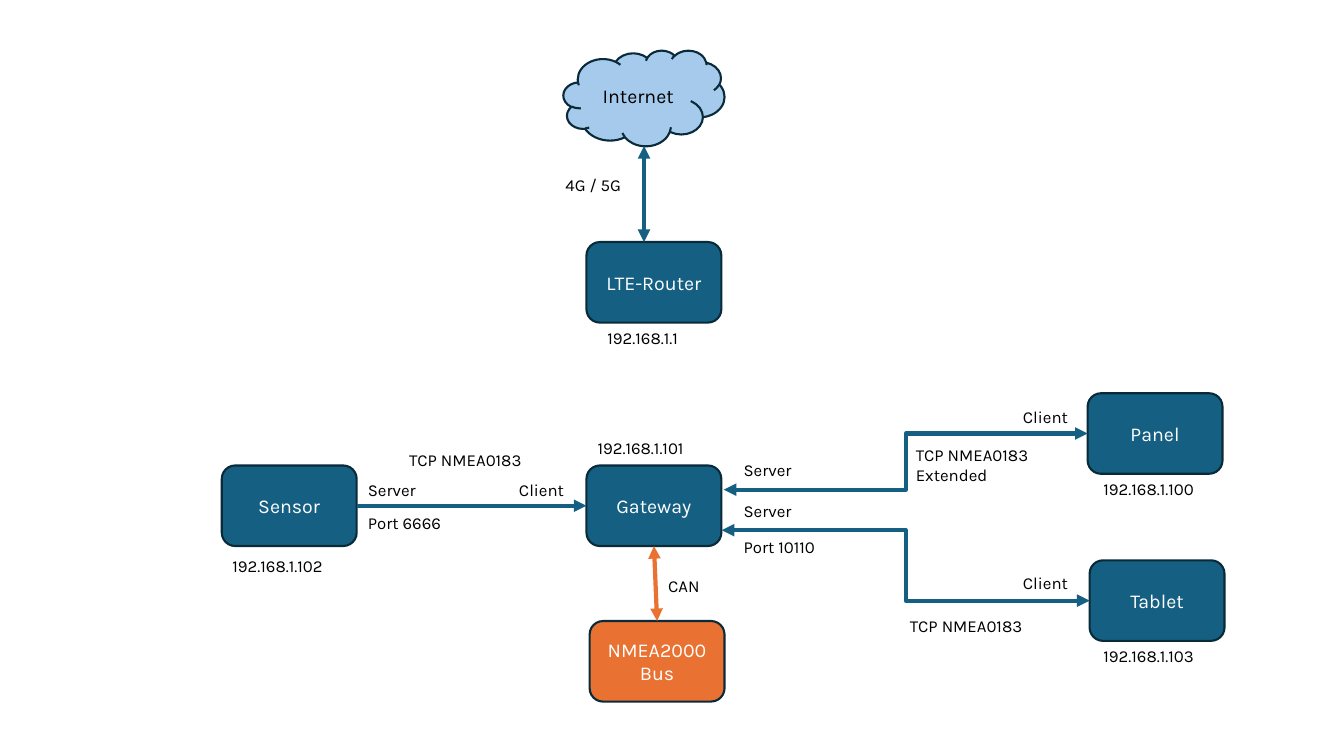
from dataclasses import dataclass

from lxml import etree
from pptx import Presentation
from pptx.dml.color import RGBColor
from pptx.enum.shapes import MSO_CONNECTOR, MSO_SHAPE
from pptx.enum.text import MSO_ANCHOR, MSO_AUTO_SIZE, PP_ALIGN
from pptx.oxml.ns import qn
from pptx.util import Cm, Pt

ROUNDED = MSO_SHAPE.ROUNDED_RECTANGLE
CLOUD = MSO_SHAPE.CLOUD
STRAIGHT = MSO_CONNECTOR.STRAIGHT
ELBOW = MSO_CONNECTOR.ELBOW
CENTER = PP_ALIGN.CENTER
MIDDLE = MSO_ANCHOR.MIDDLE
FIT_SHAPE = MSO_AUTO_SIZE.SHAPE_TO_FIT_TEXT
TOP, LEFT, BOTTOM, RIGHT = range(4)


@dataclass(frozen=True)
class Theme:
    """Colours, font and sizes of the network diagram."""

    device: RGBColor = RGBColor(0x15, 0x60, 0x82)
    bus: RGBColor = RGBColor(0xE9, 0x71, 0x32)
    cloud: RGBColor = RGBColor(0xA6, 0xCA, 0xEC)
    outline: RGBColor = RGBColor(0x09, 0x2A, 0x39)
    dark: RGBColor = RGBColor(0, 0, 0)
    light: RGBColor = RGBColor(0xFF, 0xFF, 0xFF)
    font: str = "Karla"
    node_size: Pt = Pt(14)
    label_size: Pt = Pt(12)
    outline_width: Pt = Pt(1.5)
    link_width: Pt = Pt(3)


THEME = Theme()


def add_span(para, text, size, color):
    """Add one formatted run to a paragraph."""
    span = para.add_run()
    span.text = text
    span.font.name = THEME.font
    span.font.size = size
    span.font.color.rgb = color


def add_node(page, text, left, top, fill=THEME.device, color=THEME.light,
             preset=ROUNDED, width=3.4, height=2.03):
    """Draw a filled network node with a centred name."""
    node = page.shapes.add_shape(preset, Cm(left), Cm(top), Cm(width), Cm(height))
    node.shadow.inherit = False
    node.fill.solid()
    node.fill.fore_color.rgb = fill
    node.line.color.rgb = THEME.outline
    node.line.width = THEME.outline_width
    node.text_frame.word_wrap = True
    node.text_frame.vertical_anchor = MIDDLE
    para = node.text_frame.paragraphs[0]
    para.alignment = CENTER
    add_span(para, text, THEME.node_size, color)
    return node


def add_label(page, lines, left, top, width=3.4):
    """Place a small caption with one paragraph per line."""
    box = page.shapes.add_textbox(Cm(left), Cm(top), Cm(width), Cm(0.26 + 0.51 * len(lines)))
    frame = box.text_frame
    frame.word_wrap = True
    frame.auto_size = FIT_SHAPE
    for index, line in enumerate(lines):
        para = frame.add_paragraph() if index else frame.paragraphs[0]
        add_span(para, line, THEME.label_size, THEME.dark)


def add_link(page, start, end, kind=STRAIGHT, color=THEME.device, two_way=True):
    """Join two ends, each a (node, side) pair or a point in centimetres."""
    link = page.shapes.add_connector(kind, 0, 0, 0, 0)
    if isinstance(start[0], float):
        link.begin_x, link.begin_y = Cm(start[0]), Cm(start[1])
    else:
        link.begin_connect(*start)
    if isinstance(end[0], float):
        link.end_x, link.end_y = Cm(end[0]), Cm(end[1])
    else:
        link.end_connect(*end)
    link.line.color.rgb = color
    link.line.width = THEME.link_width
    line = link.line._get_or_add_ln()
    for tag in ("a:headEnd", "a:tailEnd") if two_way else ("a:tailEnd",):
        etree.SubElement(line, qn(tag)).set("type", "triangle")
    etree.SubElement(link._element.spPr, qn("a:effectLst"))


def add_network(page):
    """Draw the devices and the links between them."""
    add_node(page, "LTE-Router", 14.78, 6.1)
    sensor = add_node(page, "Sensor", 5.59, 11.73)
    gateway = add_node(page, "Gateway", 14.78, 11.73)
    display = add_node(page, "Panel", 27.41, 9.91)
    tablet = add_node(page, "Tablet", 27.46, 14.12)
    bus = add_node(page, "NMEA2000 Bus", 14.86, 15.65, fill=THEME.bus)
    add_node(page, "Internet", 14.2, 1.27, THEME.cloud, THEME.dark, CLOUD, 4.06, 2.41)

    add_link(page, (18.19, 13.36), (tablet, LEFT), ELBOW)
    add_link(page, (18.24, 12.34), (display, LEFT), ELBOW)
    add_link(page, (sensor, RIGHT), (gateway, LEFT), two_way=False)
    add_link(page, (16.23, 3.68), (16.23, 6.1))
    add_link(page, (gateway, BOTTOM), (bus, TOP), color=THEME.bus)


def add_captions(page):
    """Write the addresses, roles, ports and protocols."""
    for address, left, top in (
        ("192.168.1.1", 15.06, 8.13),
        ("192.168.1.102", 5.61, 13.87),
        ("192.168.1.101", 14.81, 10.9),
        ("192.168.1.100", 27.56, 11.94),
        ("192.168.1.103", 27.56, 16.15),
    ):
        add_label(page, [address], left, top)

    for role, left, top in (
        ("Client", 12.83, 11.96),
        ("Client", 25.53, 14.3),
        ("Client", 25.53, 10.13),
        ("Server", 9.02, 11.96),
        ("Server", 18.49, 12.5),
        ("Server", 18.49, 11.46),
        ("Port 6666", 9.02, 12.8),
        ("Port 10110", 18.49, 13.39),
        ("CAN", 16.59, 14.38),
        ("4G / 5G", 14.0, 4.27),
    ):
        add_label(page, [role], left, top)

    protocol = "TCP NMEA0183"
    add_label(page, [protocol], 10.06, 11.2, 3.94)
    add_label(page, [protocol], 22.68, 15.39, 3.94)
    add_label(page, [protocol, "Extended"], 22.83, 11.07, 3.94)


def main():
    """Build and save the network diagram."""
    deck = Presentation()
    deck.slide_width, deck.slide_height = Cm(33.87), Cm(19.05)
    page = deck.slides.add_slide(deck.slide_layouts[6])
    add_network(page)
    add_captions(page)
    deck.save("out.pptx")


if __name__ == "__main__":
    main()
